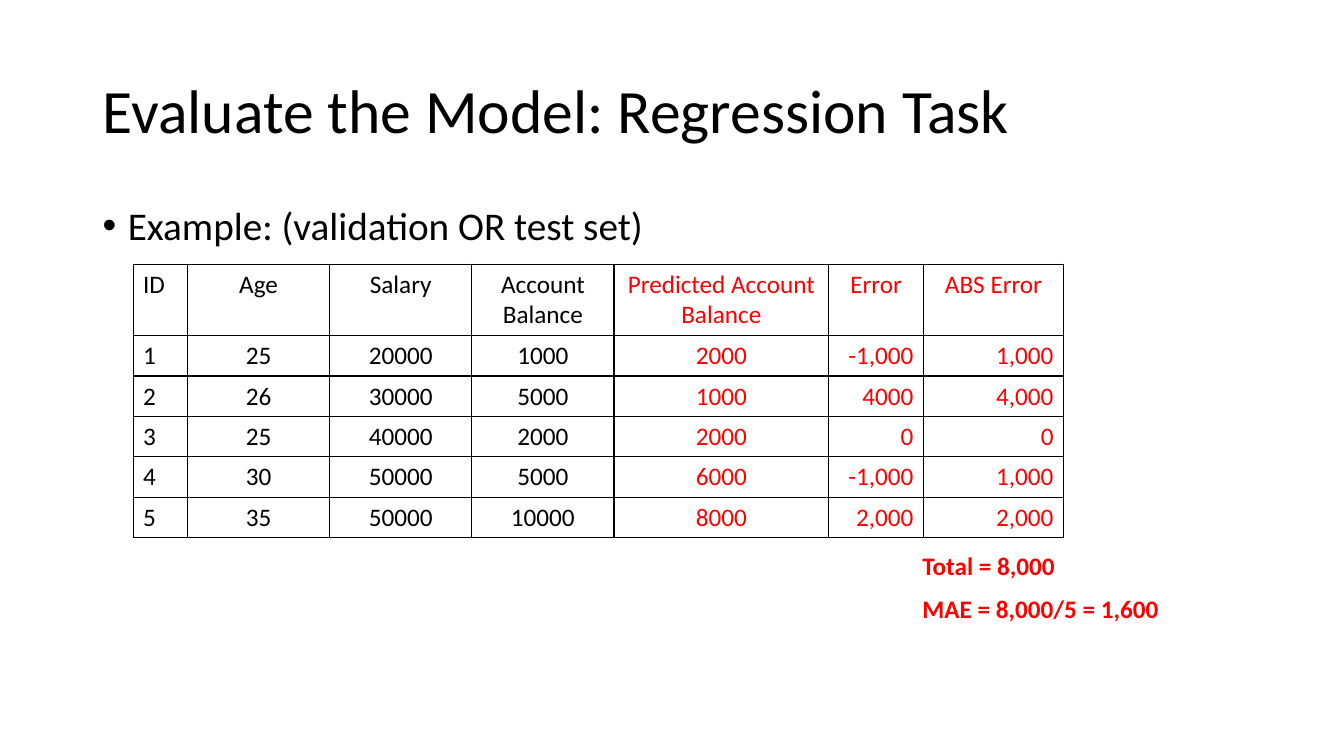
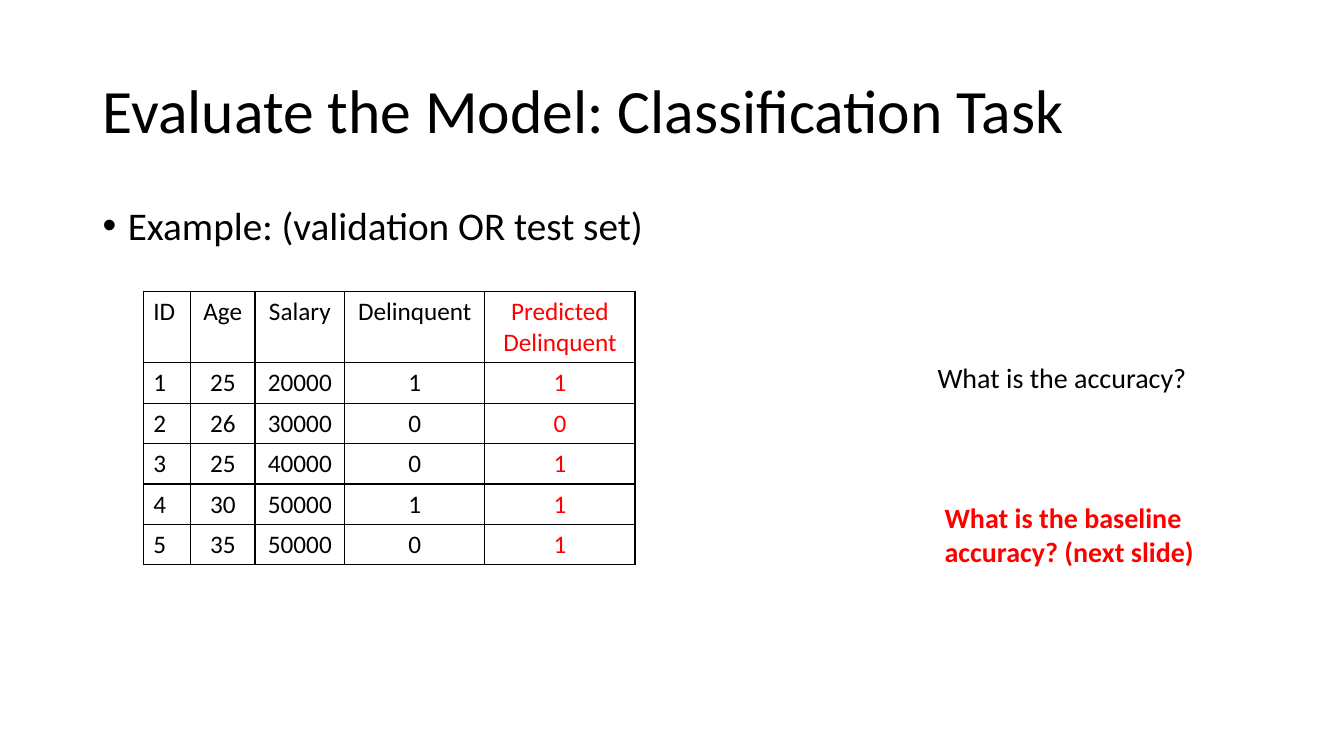
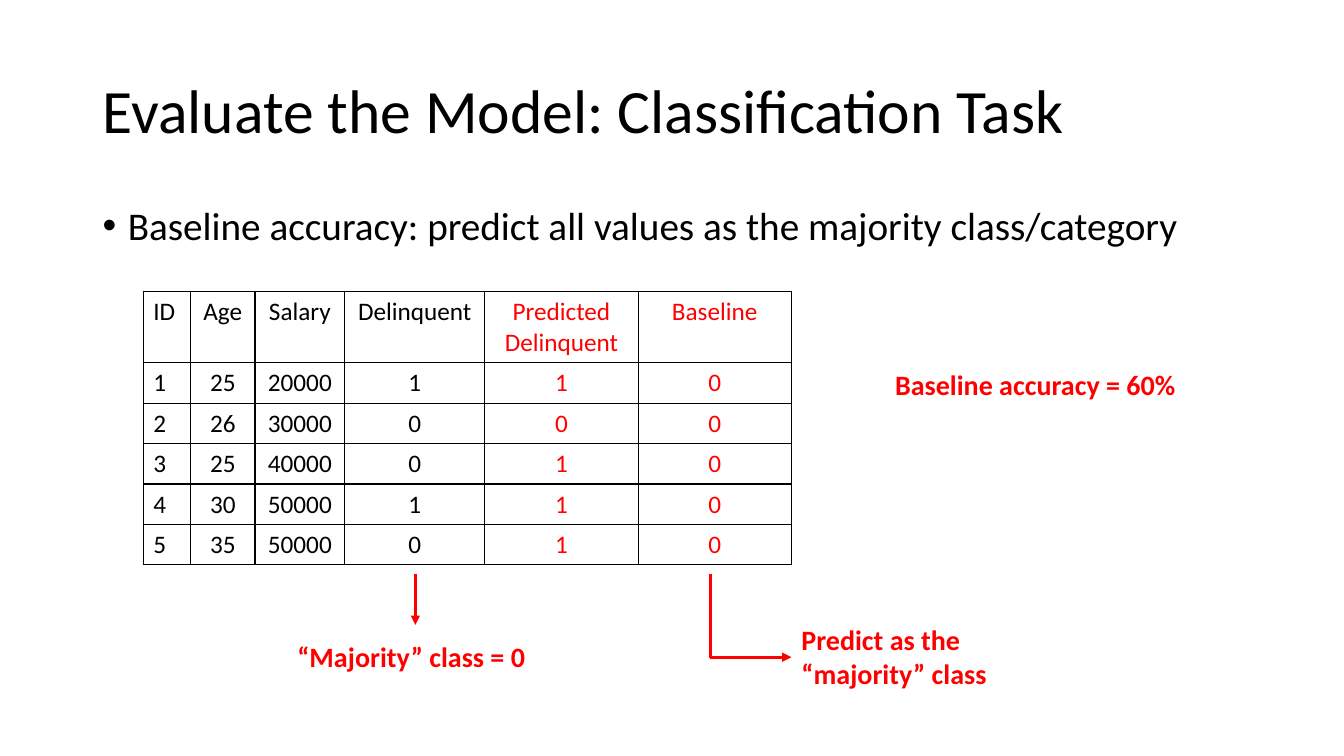
from lxml import etree
from pptx import Presentation
from pptx import util as u
from pptx.dml.color import RGBColor
from pptx.enum import shapes, text
from pptx.oxml.ns import qn

COLORS = {"ink": "000000", "accent": "FF0000", "paper": "FFFFFF"}
FONT = "Calibri"
LEFT, CENTER, RIGHT = text.PP_ALIGN.LEFT, text.PP_ALIGN.CENTER, text.PP_ALIGN.RIGHT
TITLE_BOX = (0.92, 0.4, 11.5, 1.45)
BODY_BOX = (0.92, 2, 11.5, 4.76)
HEADER_HEIGHT, ROW_HEIGHT = 0.71, 0.4

# Columns: heading, width, values, alignment, colour
IDS = ("ID", ["1", "2", "3", "4", "5"], LEFT, "ink")
AGES = ("Age", ["25", "26", "25", "30", "35"], CENTER, "ink")
SALARIES = ("Salary", ["20000", "30000", "40000", "50000", "50000"], CENTER, "ink")
BALANCES = ("Account Balance", ["1000", "5000", "2000", "5000", "10000"], CENTER, "ink")
PREDICTED_BALANCES = ("Predicted Account Balance",
                      ["2000", "1000", "2000", "6000", "8000"], CENTER, "accent")
ERRORS = ("Error", ["-1,000", "4000", "0", "-1,000", "2,000"], RIGHT, "accent")
ABS_ERRORS = ("ABS Error", ["1,000", "4,000", "0", "1,000", "2,000"], RIGHT, "accent")
DELINQUENT = ("Delinquent", ["1", "0", "0", "1", "0"], CENTER, "ink")
PREDICTED_DELINQUENT = ("Predicted Delinquent", ["1", "0", "1", "1", "1"], CENTER, "accent")
BASELINE = ("Baseline", ["0"] * 5, CENTER, "accent")


def rgb(color):
    return RGBColor.from_string(COLORS[color])


def style(paragraph, size, color, bold=False):
    for run in paragraph.runs:
        font = run.font
        font.name, font.size, font.bold = FONT, u.Pt(size), bold
        font.color.rgb = rgb(color)


def add_text(slide, box, words, size, color="ink", bold=False):
    frame = slide.shapes.add_textbox(*map(u.Inches, box)).text_frame
    frame.word_wrap = True
    frame.text = words
    style(frame.paragraphs[0], size, color, bold)
    return frame


def add_note(slide, box, words, size=20, color="accent", bold=True):
    frame = add_text(slide, box, words, size, color, bold)
    frame.auto_size = text.MSO_AUTO_SIZE.SHAPE_TO_FIT_TEXT


def task_slide(deck, title, bullet):
    """A slide with its title and one bullet line."""
    slide = deck.slides.add_slide(deck.slide_layouts[6])
    slide.background.fill.solid()
    slide.background.fill.fore_color.rgb = rgb("paper")

    heading = add_text(slide, TITLE_BOX, title, 44)
    heading.vertical_anchor = text.MSO_ANCHOR.MIDDLE
    heading.paragraphs[0].line_spacing = 0.9

    line = add_text(slide, BODY_BOX, bullet, 28).paragraphs[0]
    line.line_spacing, line.space_before = 0.9, u.Pt(10)
    props = line._p.get_or_add_pPr()
    props.set("marL", str(u.Inches(0.25)))
    props.set("indent", str(u.Inches(-0.25)))
    etree.SubElement(props, qn("a:buFont")).set("typeface", "Arial")
    etree.SubElement(props, qn("a:buChar")).set("char", "•")
    return slide


def set_borders(cell):
    props = cell._tc.get_or_add_tcPr()
    for index, side in enumerate(("lnL", "lnR", "lnT", "lnB")):
        border = etree.Element(qn(f"a:{side}"), w=str(u.Pt(1)))
        fill = etree.SubElement(border, qn("a:solidFill"))
        etree.SubElement(fill, qn("a:srgbClr")).set("val", COLORS["ink"])
        props.insert(index, border)


def add_data_table(slide, left, top, columns, widths):
    row_count = len(columns[0][1]) + 1
    height = HEADER_HEIGHT + ROW_HEIGHT * (row_count - 1)
    table = slide.shapes.add_table(
        row_count, len(columns),
        *map(u.Inches, (left, top, sum(widths), height))).table
    table.first_row = table.horz_banding = False
    for index, row in enumerate(table.rows):
        row.height = u.Inches(ROW_HEIGHT if index else HEADER_HEIGHT)
    for c, ((heading, values, align, color), width) in enumerate(zip(columns, widths)):
        table.columns[c].width = u.Inches(width)
        for r, value in enumerate([heading] + values):
            cell = table.cell(r, c)
            cell.text = value
            cell.fill.background()
            set_borders(cell)
            paragraph = cell.text_frame.paragraphs[0]
            paragraph.alignment = CENTER if r == 0 and align == RIGHT else align
            style(paragraph, 18, color)


def add_arrow(slide, start, end):
    arrow = slide.shapes.add_connector(
        shapes.MSO_CONNECTOR.STRAIGHT, *map(u.Inches, start + end))
    arrow.line.color.rgb = rgb("accent")
    arrow.line.width = u.Pt(2.25)
    etree.SubElement(arrow.line._get_or_add_ln(), qn("a:tailEnd")).set("type", "triangle")
    etree.SubElement(arrow._element.spPr, qn("a:effectLst"))
    return arrow


def add_corner_arrow(slide, start, end):
    """An arrow that runs down, then right."""
    across, down = end[0] - start[0], end[1] - start[1]
    left = (start[0] + end[0] - down) / 2
    top = (start[1] + end[1] - across) / 2
    # The preset runs right, then down: mirror and turn it about its centre
    arrow = add_arrow(slide, (left, top), (left + down, top + across))
    props = arrow._element.spPr
    props.find(qn("a:prstGeom")).set("prst", "bentConnector2")
    turn = props.find(qn("a:xfrm"))
    turn.set("rot", "16200000")
    turn.set("flipH", "1")


def regression_slide(deck):
    slide = task_slide(deck, "Evaluate the Model: Regression Task",
                       "Example: (validation OR test set)")
    add_data_table(slide, 1.32, 2.62,
                   [IDS, AGES, SALARIES, BALANCES, PREDICTED_BALANCES, ERRORS, ABS_ERRORS],
                   [0.54, 1.41, 1.41, 1.41, 2.13, 0.94, 1.39])
    add_note(slide, (9.05, 5.41, 1.69, 0.4), "Total = 8,000", 18)
    add_note(slide, (9.05, 5.84, 2.72, 0.4), "MAE = 8,000/5 = 1,600", 18)


def classification_slide(deck, bullet, predictions, prediction_width):
    slide = task_slide(deck, "Evaluate the Model: Classification Task", bullet)
    add_data_table(slide, 1.42, 2.89, [IDS, AGES, SALARIES, DELINQUENT] + predictions,
                   [0.47, 0.64, 0.89, 1.39] + [prediction_width] * len(predictions))
    return slide


def accuracy_slide(deck):
    slide = classification_slide(deck, "Example: (validation OR test set)",
                                 [PREDICTED_DELINQUENT], 1.49)
    add_note(slide, (9.2, 3.53, 2.71, 0.44), "What is the accuracy?", color="ink", bold=False)
    add_note(slide, (9.27, 4.92, 2.71, 0.77), "What is the baseline accuracy? (next slide)")


def baseline_slide(deck):
    slide = classification_slide(
        deck, "Baseline accuracy: predict all values as the majority class/category",
        [PREDICTED_DELINQUENT, BASELINE], 1.52)
    add_note(slide, (7.85, 6.13, 2.71, 0.77), "Predict as the “majority” class")
    add_note(slide, (2.85, 6.3, 2.71, 0.44), "“Majority” class = 0")
    add_note(slide, (8.78, 3.6, 3.24, 0.44), "Baseline accuracy = 60%")
    # Arrows from the table columns to their notes
    add_corner_arrow(slide, (7.05, 5.69), (7.85, 6.52))
    add_arrow(slide, (4.12, 5.69), (4.12, 6.2))


def main():
    deck = Presentation()
    deck.slide_width, deck.slide_height = u.Inches(13.33), u.Inches(7.5)
    regression_slide(deck)
    accuracy_slide(deck)
    baseline_slide(deck)
    deck.save("out.pptx")


if __name__ == "__main__":
    main()
